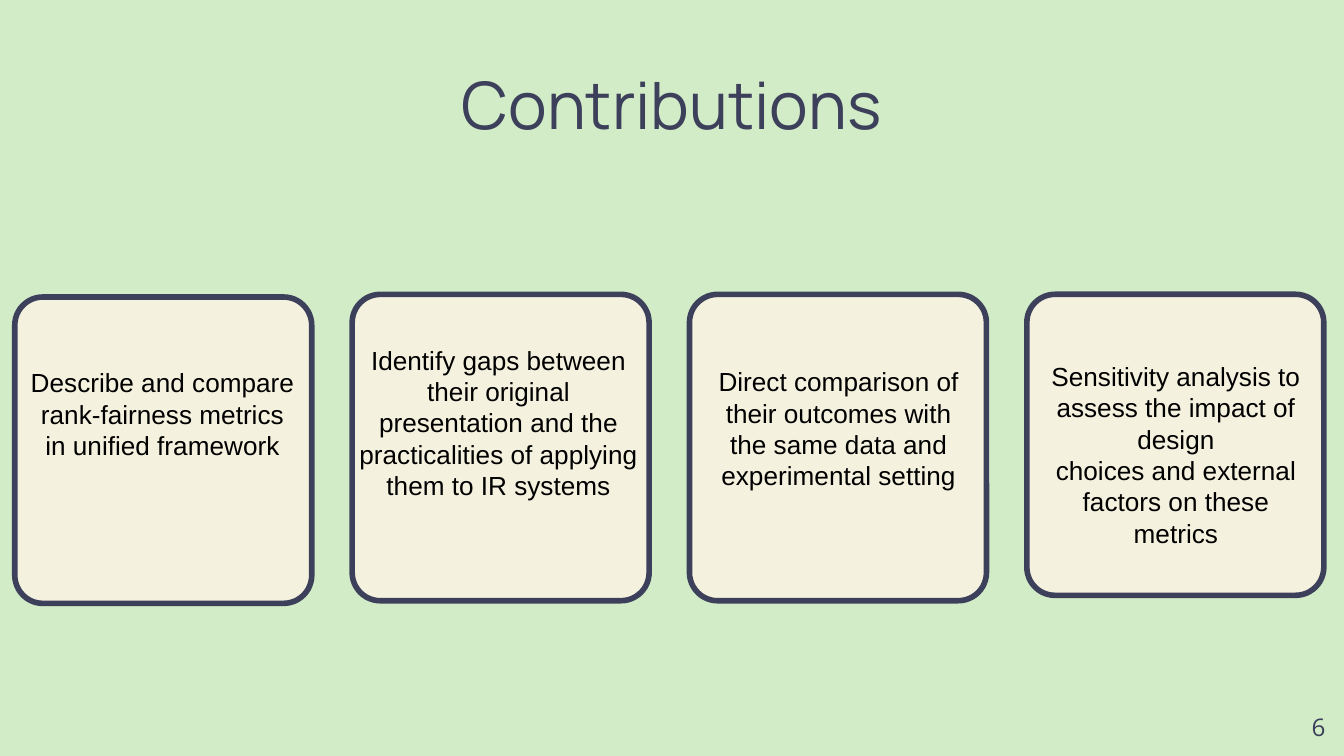
import pptx
import pptx.util
import pptx.dml.color
import pptx.enum.shapes
import pptx.enum.text

Inches = pptx.util.Inches
RGBColor = pptx.dml.color.RGBColor
ALIGN = pptx.enum.text.PP_ALIGN
ANCHOR = pptx.enum.text.MSO_ANCHOR

MINT = RGBColor(0xD2, 0xEC, 0xC8)
CREAM = RGBColor(0xF4, 0xF1, 0xDE)
NAVY = RGBColor(0x3D, 0x40, 0x5B)
BLACK = RGBColor(0, 0, 0)

WIDTH = 10
HEIGHT = WIDTH * 9 / 16
FIRST_LEFT, COLUMN_STEP, CARD_WIDTH = 0.11, 2.51, 2.21

TITLE_FONT = {"name": "Manrope", "size": pptx.util.Pt(35)}
CARD_FONT = {"name": "Arial", "size": pptx.util.Pt(14)}
NUMBER_FONT = {"name": "Open Sans", "size": pptx.util.Pt(13)}

CONTRIBUTIONS = [
    ((2.21, 2.28), (0.1, 2.73, 2, 1.23),
     ["Describe and compare rank-fairness metrics in unified framework"]),
    ((2.19, 2.28), (0.01, 2.56, 2.16, 1.49),
     ["Identify gaps between their original presentation and the "
      "practicalities of applying them to IR systems"]),
    ((2.19, 2.28), (0.11, 2.72, 2, 0.93),
     ["Direct comparison of their outcomes with the same data and "
      "experimental setting"]),
    ((2.19, 2.24), (0.11, 2.68, 2, 1.05),
     ["Sensitivity analysis to assess the impact of design",
      "choices and external factors on these metrics"]),
]


def add_text(slide, area, lines, font, color, anchor=ANCHOR.TOP,
             align=ALIGN.CENTER, inset=0, spacing=1.0):
    frame = slide.shapes.add_textbox(*map(Inches, area)).text_frame
    margins = {f"margin_{side}": Inches(inset)
               for side in ("left", "top", "right", "bottom")}
    layout = {"word_wrap": True, "vertical_anchor": anchor, **margins}
    for key, value in layout.items():
        setattr(frame, key, value)
    frame.text = "\n".join(lines)
    for paragraph in frame.paragraphs:
        paragraph.alignment = align
        paragraph.line_spacing = spacing
        for run in paragraph.runs:
            for key, value in font.items():
                setattr(run.font, key, value)
            run.font.color.rgb = color


def add_card(slide, left, top, height):
    card = slide.shapes.add_shape(
        pptx.enum.shapes.MSO_SHAPE.ROUNDED_RECTANGLE,
        *map(Inches, (left, top, CARD_WIDTH, height)))
    card.adjustments[0] = 0.095
    card.shadow.inherit = False
    card.fill.solid()
    card.fill.fore_color.rgb = CREAM
    card.line.color.rgb = NAVY
    card.line.width = pptx.util.Pt(3)


def main():
    deck = pptx.Presentation()
    deck.slide_width, deck.slide_height = Inches(WIDTH), Inches(HEIGHT)
    slide = deck.slides.add_slide(deck.slide_layouts[6])
    slide.background.fill.solid()
    slide.background.fill.fore_color.rgb = MINT

    add_text(slide, (0.78, 0.49, WIDTH - 2 * 0.78, 0.63), ["Contributions"],
             TITLE_FONT, NAVY, ANCHOR.MIDDLE, spacing=0.9)
    for column, (card, text, lines) in enumerate(CONTRIBUTIONS):
        left = FIRST_LEFT + column * COLUMN_STEP
        add_card(slide, left, *card)
        indent, *rest = text
        add_text(slide, (left + indent, *rest), lines, CARD_FONT, BLACK)
    add_text(slide, (9.36, HEIGHT - 0.43, 0.6, 0.43), ["6"], NUMBER_FONT, NAVY,
             ANCHOR.MIDDLE, ALIGN.RIGHT, 0.1)

    deck.save("out.pptx")


if __name__ == "__main__":
    main()
